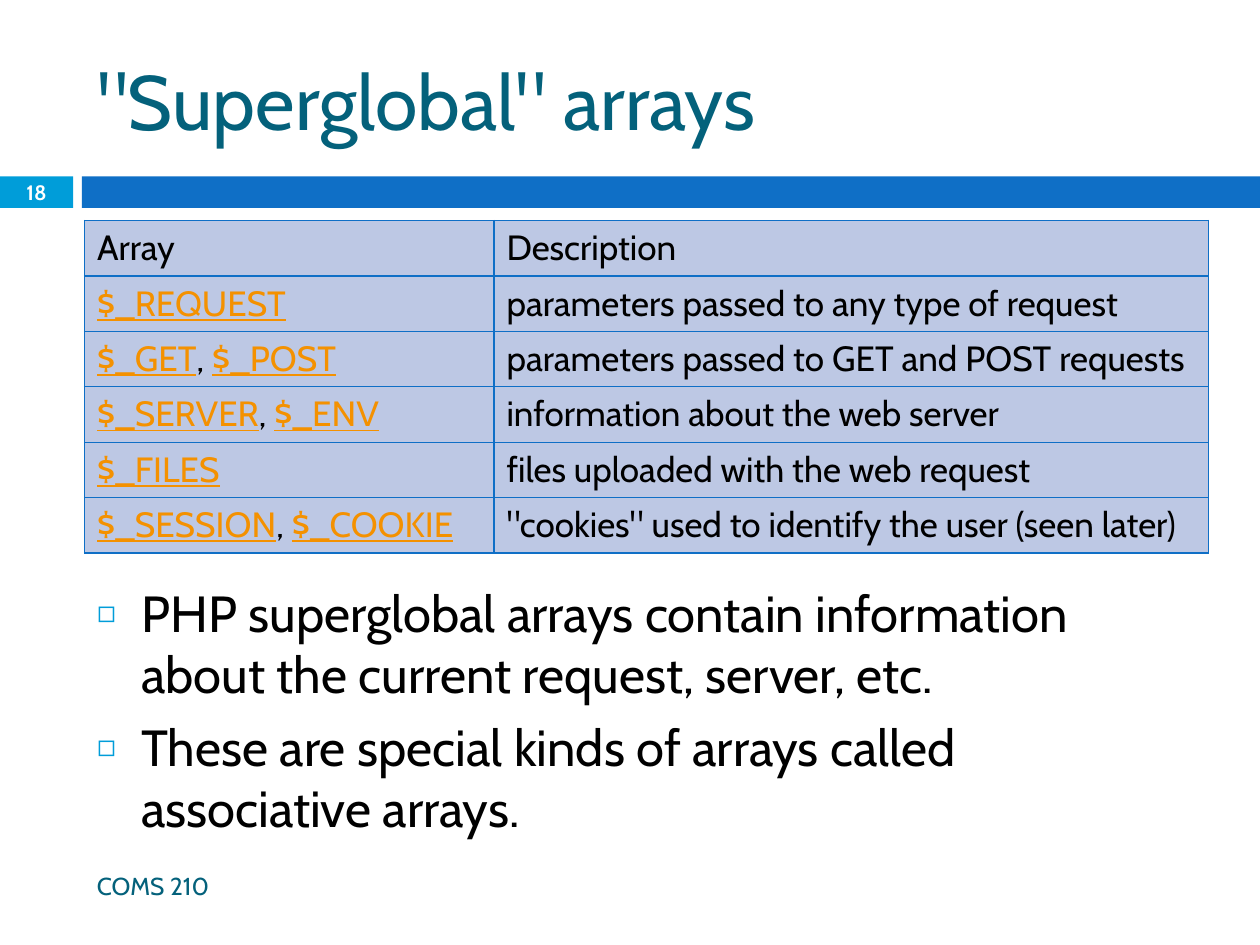
from dataclasses import dataclass

from lxml.etree import SubElement
from pptx import Presentation
from pptx.dml.color import RGBColor
from pptx.enum.shapes import MSO_SHAPE as Preset
from pptx.enum.text import MSO_ANCHOR as Anchor, MSO_AUTO_SIZE as AutoSize, PP_ALIGN as Align
from pptx.oxml.ns import qn
from pptx.util import Inches, Pt

FONT = "Cabin"
BLUE, CYAN, TEAL = "0F6FC6", "009DD9", "04617B"
ORANGE, BLACK, WHITE, CELL_FILL = "F49100", "000000", "FFFFFF", "BDC8E4"
LEFT, WIDTH = 0.67, 8.92
COLUMN_WIDTHS = (3.25, 5.67)
ROW_HEIGHT = 0.44


@dataclass
class Bar:
    left: float
    width: float
    color: str


@dataclass
class Label:
    text: str
    box: tuple[float, float, float, float]
    size: float
    color: str
    align: Align = Align.LEFT
    bold: bool = False


@dataclass
class ArrayRow:
    names: tuple[str, ...]
    description: str


BARS = [Bar(0, 0.58, CYAN), Bar(0.65, 9.35, BLUE)]
LABELS = [
    Label("18", (0, 1.39, 0.58, 0.27), 11.9, WHITE, Align.CENTER, True),
    Label("COMS 210", (LEFT, 6.83, 5.93, 0.4), 14, TEAL),
]
ARRAY_ROWS = [
    ArrayRow(("$_REQUEST",), "parameters passed to any type of request"),
    ArrayRow(("$_GET", "$_POST"), "parameters passed to GET and POST requests"),
    ArrayRow(("$_SERVER", "$_ENV"), "information about the web server"),
    ArrayRow(("$_FILES",), "files uploaded with the web request"),
    ArrayRow(("$_SESSION", "$_COOKIE"), '"cookies" used to identify the user (seen later)'),
]
BULLETS = [
    "PHP superglobal arrays contain information about the current request, server, etc.",
    "These are special kinds of arrays called associative arrays.",
]


def rgb(color: str) -> RGBColor:
    return RGBColor.from_string(color)


def add_run(paragraph, text: str, size: float, color: str,
            bold: bool = False, underline: bool = False) -> None:
    run = paragraph.add_run()
    run.text = text
    run.font.name, run.font.size = FONT, Pt(size)
    run.font.bold, run.font.underline = bold, underline
    run.font.color.rgb = rgb(color)


def place(shape, left: float, top: float, width: float, height: float) -> None:
    shape.left, shape.top = Inches(left), Inches(top)
    shape.width, shape.height = Inches(width), Inches(height)


def add_bar(slide, bar: Bar) -> None:
    shape = slide.shapes.add_shape(
        Preset.RECTANGLE, Inches(bar.left), Inches(1.4), Inches(bar.width), Inches(0.25))
    shape.shadow.inherit = False
    shape.fill.solid()
    shape.fill.fore_color.rgb = rgb(bar.color)
    shape.line.fill.background()


def add_label(slide, label: Label) -> None:
    frame = slide.shapes.add_textbox(*map(Inches, label.box)).text_frame
    frame.word_wrap = True
    frame.vertical_anchor = Anchor.MIDDLE
    frame.margin_top = frame.margin_bottom = 0
    paragraph = frame.paragraphs[0]
    paragraph.alignment = label.align
    add_run(paragraph, label.text, label.size, label.color, label.bold)


def add_bullet(paragraph, text: str) -> None:
    paragraph.space_before = Pt(7)
    properties = paragraph._p.get_or_add_pPr()
    properties.set("marL", str(Inches(0.35)))
    properties.set("indent", str(Inches(-0.35)))
    SubElement(SubElement(properties, qn("a:buClr")), qn("a:srgbClr"), val=CYAN)
    SubElement(properties, qn("a:buSzPct"), val="60000")
    SubElement(properties, qn("a:buChar"), char="\u25fb")
    add_run(paragraph, text, 29, BLACK)


def format_cell(cell) -> None:
    cell.vertical_anchor = Anchor.MIDDLE
    properties = cell._tc.get_or_add_tcPr()
    # Borders come before the fill in the cell properties
    for side in ("lnL", "lnR", "lnT", "lnB"):
        line = SubElement(properties, qn(f"a:{side}"), w=str(Pt(0.79)))
        SubElement(SubElement(line, qn("a:solidFill")), qn("a:srgbClr"), val=BLUE)
    cell.fill.solid()
    cell.fill.fore_color.rgb = rgb(CELL_FILL)


def add_array_table(slide, rows: list[ArrayRow]) -> None:
    row_count = len(rows) + 1
    table = slide.shapes.add_table(
        row_count, 2, Inches(LEFT), Inches(1.75),
        Inches(WIDTH), Inches(ROW_HEIGHT * row_count)).table
    table.first_row = table.horz_banding = False
    for column, width in zip(table.columns, COLUMN_WIDTHS):
        column.width = Inches(width)
    for cell in table.iter_cells():
        format_cell(cell)
    for index, heading in enumerate(("Array", "Description")):
        add_run(table.cell(0, index).text_frame.paragraphs[0], heading, 20, BLACK)
    for index, row in enumerate(rows, start=1):
        names, description = (
            table.cell(index, column).text_frame.paragraphs[0] for column in range(2))
        for position, name in enumerate(row.names):
            if position:
                add_run(names, ", ", 20, BLACK)
            add_run(names, name, 20, ORANGE, underline=True)
        add_run(description, row.description, 20, BLACK)


presentation = Presentation()
presentation.slide_width, presentation.slide_height = Inches(10), Inches(7.5)
slide = presentation.slides.add_slide(presentation.slide_layouts[1])

# Title
title = slide.shapes.title
place(title, LEFT, 0.25, WIDTH, 1.08)
title.text_frame.auto_size = AutoSize.NONE
title.text_frame.vertical_anchor = Anchor.MIDDLE
heading = title.text_frame.paragraphs[0]
heading.alignment = Align.LEFT
add_run(heading, '"Superglobal" arrays', 44, TEAL)

# Bulleted list
body = slide.placeholders[1]
place(body, LEFT, 4.57, WIDTH, 2.08)
body.text_frame.auto_size = AutoSize.NONE
for index, text in enumerate(BULLETS):
    frame = body.text_frame
    add_bullet(frame.add_paragraph() if index else frame.paragraphs[0], text)

# Bars, slide number, footer and table
for bar in BARS:
    add_bar(slide, bar)
for label in LABELS:
    add_label(slide, label)
add_array_table(slide, ARRAY_ROWS)

presentation.save("out.pptx")
